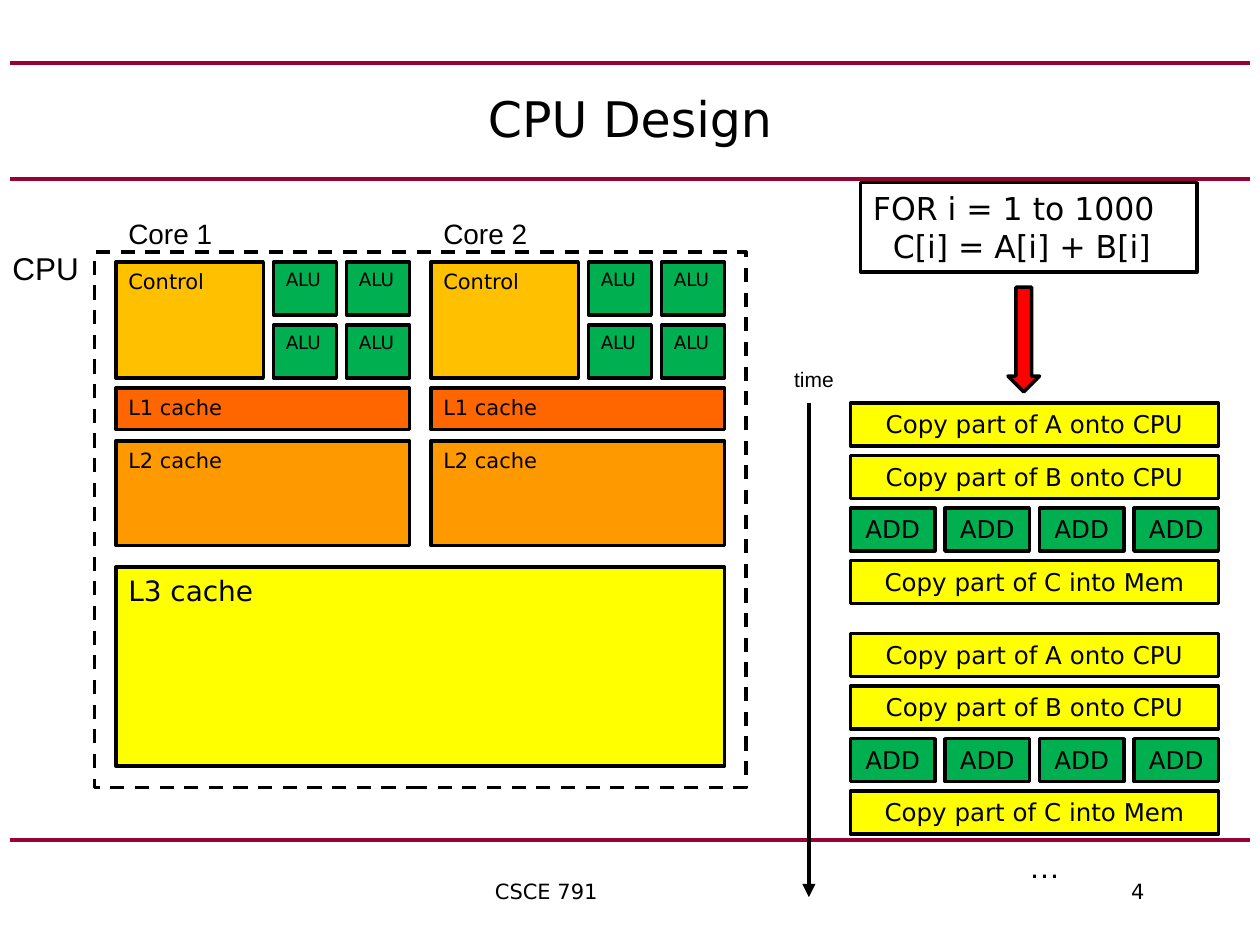
from dataclasses import dataclass

from lxml import etree
from pptx import Presentation
from pptx.dml.color import RGBColor
from pptx.enum.dml import MSO_LINE
from pptx.enum.shapes import MSO_CONNECTOR, MSO_SHAPE
from pptx.enum.text import MSO_ANCHOR, PP_ALIGN
from pptx.oxml.ns import qn
from pptx.util import Inches, Pt

RECTANGLE, DOWN_ARROW = MSO_SHAPE.RECTANGLE, MSO_SHAPE.DOWN_ARROW
STRAIGHT = MSO_CONNECTOR.STRAIGHT
DASH = MSO_LINE.DASH
LEFT, CENTER = PP_ALIGN.LEFT, PP_ALIGN.CENTER
TOP, MIDDLE = MSO_ANCHOR.TOP, MSO_ANCHOR.MIDDLE


@dataclass(frozen=True)
class Theme:
    sans: str = "DejaVu Sans"
    label: str = "Arial"
    ink: str = "000000"
    paper: str = "FFFFFF"
    rule: str = "990033"
    alu: str = "00B050"
    control: str = "FFC000"
    l1: str = "FF6600"
    l2: str = "FF9900"
    memory: str = "FFFF00"
    arrow: str = "FF0000"
    title: float = 28
    large: float = 18
    medium: float = 16
    step: float = 14
    small: float = 12
    tiny: float = 10.5
    outline: float = 2
    rule_width: float = 2.25
    time_width: float = 2.5


class SlideBuilder:
    def __init__(self, slide, theme):
        self.slide = slide
        self.theme = theme

    def fill_text(self, shape, text, size, font=None, align=LEFT, anchor=TOP, tabs=()):
        """Fill a shape with one paragraph per line of text."""
        frame = shape.text_frame
        frame.word_wrap = True
        frame.vertical_anchor = anchor
        frame.text = text
        format_values = {"name": font or self.theme.sans, "size": Pt(size)}
        for paragraph in frame.paragraphs:
            paragraph.alignment = align
            if tabs:
                properties = paragraph._p.get_or_add_pPr()
                tab_list = etree.SubElement(properties, qn("a:tabLst"))
                for position in tabs:
                    etree.SubElement(tab_list, qn("a:tab"),
                                     pos=str(Inches(position)), algn="l")
            for name, value in format_values.items():
                setattr(paragraph.font, name, value)
            paragraph.font.color.rgb = RGBColor.from_string(self.theme.ink)

    def text(self, box, text, size, **style):
        shape = self.slide.shapes.add_textbox(*map(Inches, box))
        self.fill_text(shape, text, size, **style)

    def block(self, box, fill=None, text="", size=None, kind=RECTANGLE,
              dash=None, **style):
        shape = self.slide.shapes.add_shape(kind, *map(Inches, box))
        shape.shadow.inherit = False
        if fill:
            shape.fill.solid()
            shape.fill.fore_color.rgb = RGBColor.from_string(fill)
        else:
            shape.fill.background()
        shape.line.color.rgb = RGBColor.from_string(self.theme.ink)
        shape.line.width = Pt(self.theme.outline)
        if dash:
            shape.line.dash_style = dash
        if text:
            self.fill_text(shape, text, size, **style)

    def line(self, start, end, color, width, arrow=False):
        connector = self.slide.shapes.add_connector(
            STRAIGHT, *map(Inches, (*start, *end)))
        connector.line.color.rgb = RGBColor.from_string(color)
        connector.line.width = Pt(width)
        if arrow:
            etree.SubElement(connector.line._get_or_add_ln(),
                             qn("a:tailEnd"), type="triangle")
        etree.SubElement(connector._element.spPr, qn("a:effectLst"))


def draw_frame(builder):
    theme = builder.theme
    for y in (6.67, 1.42, 0.5):
        builder.line((0.08, y), (9.92, y), theme.rule, theme.rule_width)
    builder.text((0.5, 0.5, 9, 0.87), "CPU Design", theme.title,
                 align=CENTER, anchor=MIDDLE)
    builder.text((2.83, 6.92, 7, 0.33), "\tCSCE 791\t4", theme.small,
                 tabs=(1, 6.05))


def draw_core(builder, left, name):
    theme = builder.theme
    for row in range(2):
        for column in range(2):
            box = (left + 1.25 + column * 0.58, 2.08 + row * 0.5, 0.5, 0.42)
            builder.block(box, theme.alu, "ALU", theme.tiny)
    parts = (
        ("Control", 2.08, 1.17, 0.92, theme.control),
        ("L1 cache", 3.08, 2.33, 0.33, theme.l1),
        ("L2 cache", 3.5, 2.33, 0.83, theme.l2),
    )
    for text, top, width, height, fill in parts:
        builder.block((left, top, width, height), fill, text, theme.small)
    builder.text((left, 1.67, 1.08, 0.37), name, theme.medium, font=theme.label)


def draw_cpu(builder):
    theme = builder.theme
    for index in range(2):
        draw_core(builder, 0.92 + index * 2.5, f"Core {index + 1}")
    builder.block((0.92, 4.5, 4.83, 1.58), theme.memory, "L3 cache", theme.medium)
    builder.block((0.75, 2, 5.17, 4.25), dash=DASH)
    builder.text((0, 1.93, 0.75, 0.4), "CPU", theme.large, font=theme.label)


def draw_pass(builder, top):
    """Draw one round of copying in, adding and copying out."""
    theme = builder.theme
    left, row_step, height = 6.75, 5 / 12, 0.34
    copies = (
        (0, "Copy part of A onto CPU"),
        (1, "Copy part of B onto CPU"),
        (3, "Copy part of C into Mem"),
    )
    for row, text in copies:
        builder.block((left, top + row * row_step, 2.92, height), theme.memory,
                      text, theme.step, align=CENTER)
    for column in range(4):
        box = (left + column * 0.75, top + 2 * row_step, 0.67, height)
        builder.block(box, theme.alu, "ADD", theme.step, align=CENTER)


def draw_timeline(builder):
    theme = builder.theme
    builder.block((6.83, 1.45, 2.67, 0.71), theme.paper,
                  "FOR i = 1 to 1000\n  C[i] = A[i] + B[i]", theme.large)
    builder.block((8, 2.28, 0.25, 0.83), theme.arrow, kind=DOWN_ARROW)
    builder.text((6.17, 2.86, 0.58, 0.3), "time", theme.small,
                 font=theme.label, align=CENTER)
    builder.line((6.42, 3.2), (6.42, 7.12), theme.ink, theme.time_width, arrow=True)
    for top in (3.2, 5.03):
        draw_pass(builder, top)
    builder.text((7.58, 6.67, 1.42, 0.4), "…", theme.large,
                 font=theme.label, align=CENTER)


def main():
    presentation = Presentation()
    presentation.slide_width = Inches(10)
    presentation.slide_height = Inches(7.5)
    slide = presentation.slides.add_slide(presentation.slide_layouts[6])
    builder = SlideBuilder(slide, Theme())
    draw_frame(builder)
    draw_cpu(builder)
    draw_timeline(builder)
    presentation.save("out.pptx")


if __name__ == "__main__":
    main()
